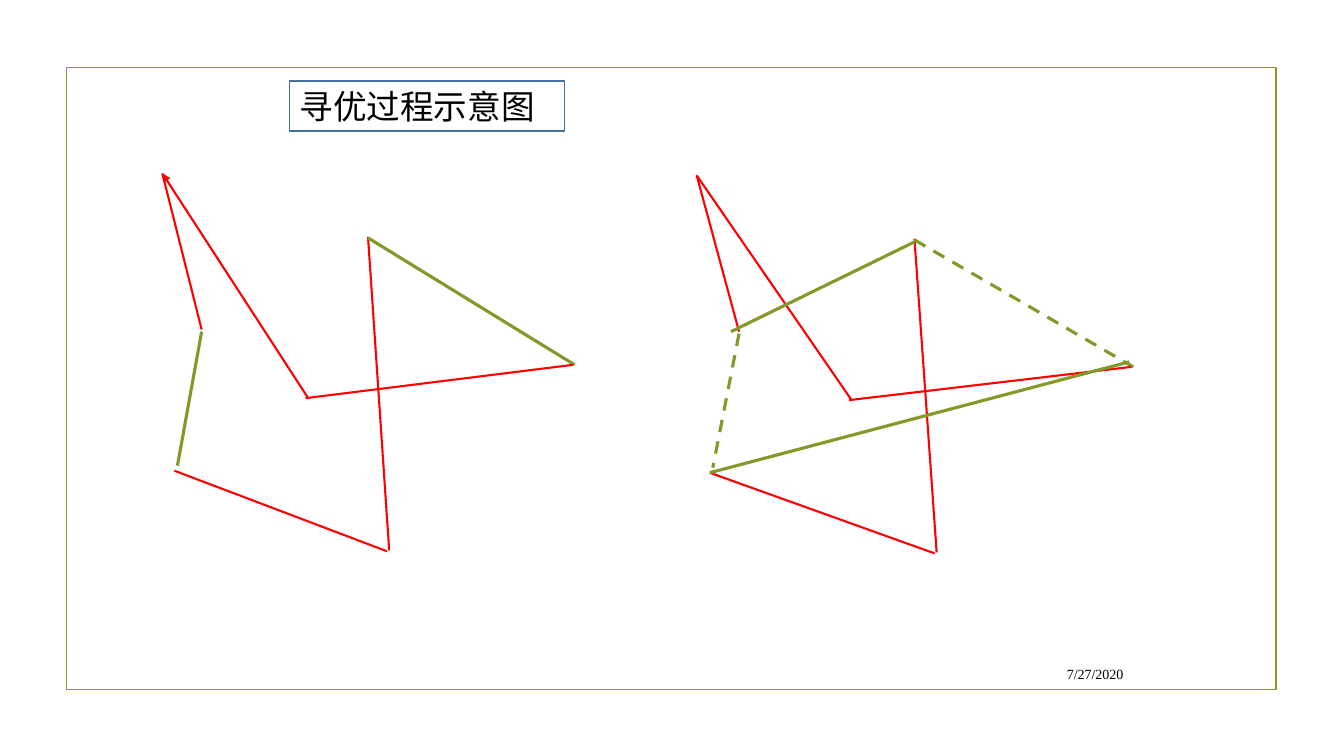
from lxml.etree import SubElement
from pptx import Presentation
from pptx.dml.color import RGBColor
from pptx.enum.dml import MSO_LINE
from pptx.enum.shapes import MSO_CONNECTOR, MSO_SHAPE
from pptx.enum.text import MSO_ANCHOR, MSO_AUTO_SIZE, PP_ALIGN
from pptx.oxml.ns import qn
from pptx.util import Inches, Pt

RED, GREEN = "FF0000", "83992A"


def color(hex_string):
    return RGBColor.from_string(hex_string)


def write(shape, text, size, align, anchor):
    frame = shape.text_frame
    frame.text = text
    frame.word_wrap = True
    frame.auto_size = MSO_AUTO_SIZE.NONE
    frame.vertical_anchor = anchor
    frame.margin_left = frame.margin_right = Inches(0.1)
    frame.margin_top = frame.margin_bottom = Inches(0.05)
    paragraph = frame.paragraphs[0]
    paragraph.alignment = align
    paragraph.font.name = "Times New Roman"
    paragraph.font.size = Pt(size)
    paragraph.font.color.rgb = color("000000")


prs = Presentation()
prs.slide_width, prs.slide_height = Inches(13.33), Inches(7.5)
slide = prs.slides.add_slide(prs.slide_layouts[5])
shapes = slide.shapes

# Title in its box
title = shapes.title
title.left, title.top = Inches(2.87), Inches(0.8)
title.width, title.height = Inches(2.73), Inches(0.5)
title.fill.solid()
title.fill.fore_color.rgb = color("FFFFFF")
title.line.color.rgb = color("44709D")
title.line.width = Pt(1.25)
write(title, "寻优过程示意图", 24, PP_ALIGN.LEFT, MSO_ANCHOR.TOP)

# Border of the slide
border = shapes.add_shape(MSO_SHAPE.RECTANGLE, Inches(0.66), Inches(0.67), Inches(12), Inches(6.17))
border.shadow.inherit = False
border.fill.background()
border.line.color.rgb = color(GREEN)
border.line.width = Pt(1.25)

# Date
date = shapes.add_textbox(Inches(9.49), Inches(6.53), Inches(1.75), Inches(0.31))
write(date, "7/27/2020", 10, PP_ALIGN.RIGHT, MSO_ANCHOR.MIDDLE)

# Tours before and after the exchange: x1, y1, x2, y2, colour, style
tour_before = [
    (1.61, 1.72, 2.00, 3.27, RED, "solid"),
    (2.00, 3.29, 1.76, 4.62, GREEN, "solid"),
    (1.73, 4.67, 3.84, 5.47, RED, "solid"),
    (3.86, 5.46, 3.65, 2.35, RED, "solid"),
    (3.65, 2.36, 5.70, 3.62, GREEN, "solid"),
    (5.68, 3.62, 3.03, 3.95, RED, "solid"),
    (3.05, 3.94, 1.61, 1.72, RED, "arrow"),
]
tour_after = [
    (6.91, 1.74, 7.33, 3.29, RED, "solid"),
    (7.33, 3.31, 7.07, 4.64, GREEN, "dash"),
    (7.04, 4.69, 9.27, 5.49, RED, "solid"),
    (9.29, 5.48, 9.07, 2.37, RED, "solid"),
    (9.07, 2.38, 11.24, 3.64, GREEN, "dash"),
    (11.22, 3.64, 8.42, 3.97, RED, "solid"),
    (8.44, 3.96, 6.91, 1.74, RED, "solid"),
    (7.25, 3.29, 9.07, 2.40, GREEN, "solid"),
    (7.04, 4.69, 11.20, 3.59, GREEN, "solid"),
]
for x1, y1, x2, y2, edge_color, style in tour_before + tour_after:
    edge = shapes.add_connector(MSO_CONNECTOR.STRAIGHT, Inches(x1), Inches(y1), Inches(x2), Inches(y2))
    edge.line.color.rgb = color(edge_color)
    edge.line.width = Pt(2.25 if edge_color == GREEN else 1.5)
    if style == "dash":
        edge.line.dash_style = MSO_LINE.DASH
    elif style == "arrow":
        SubElement(edge.line._get_or_add_ln(), qn("a:tailEnd"), type="triangle")
    SubElement(edge._element.spPr, qn("a:effectLst"))

prs.save("out.pptx")
